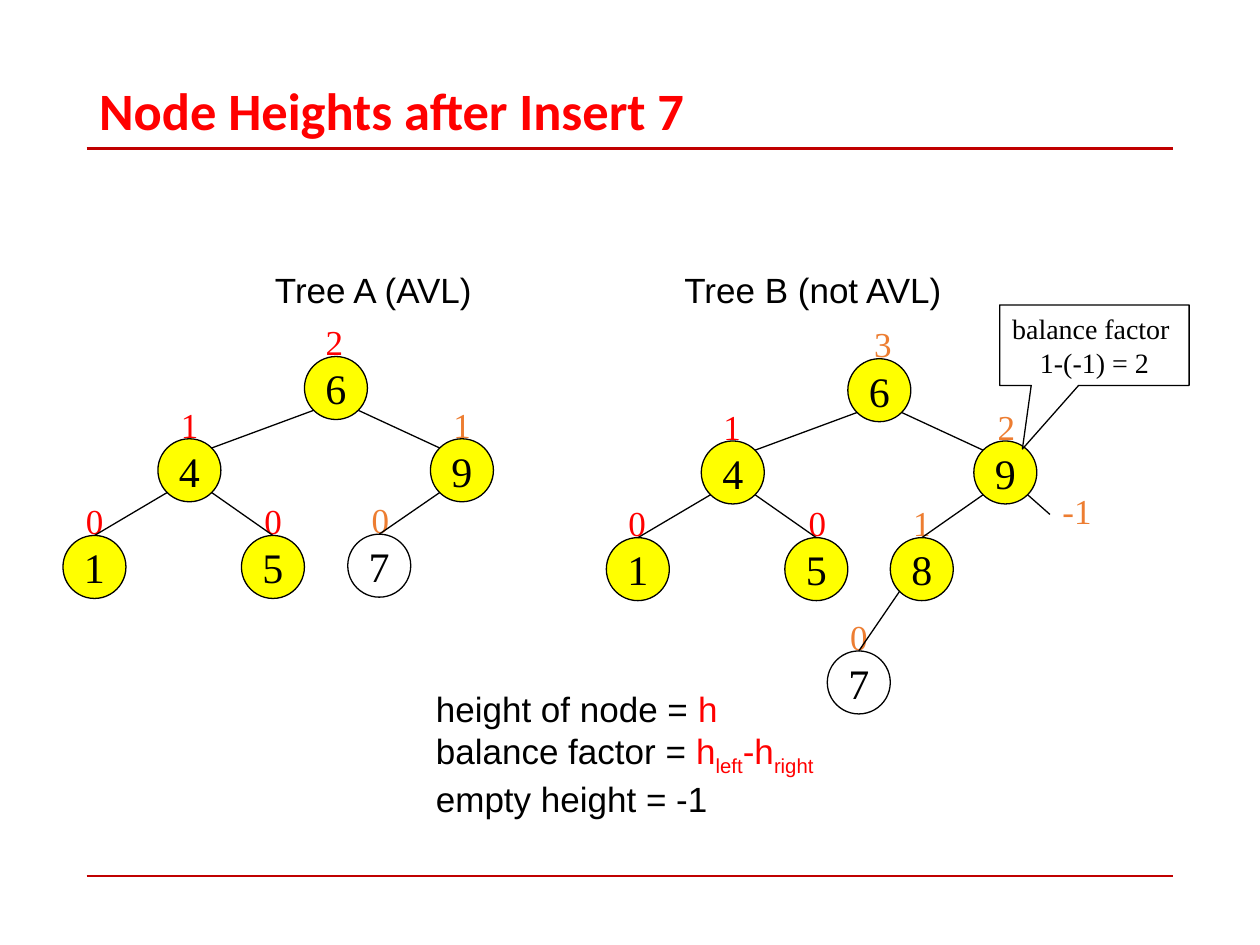
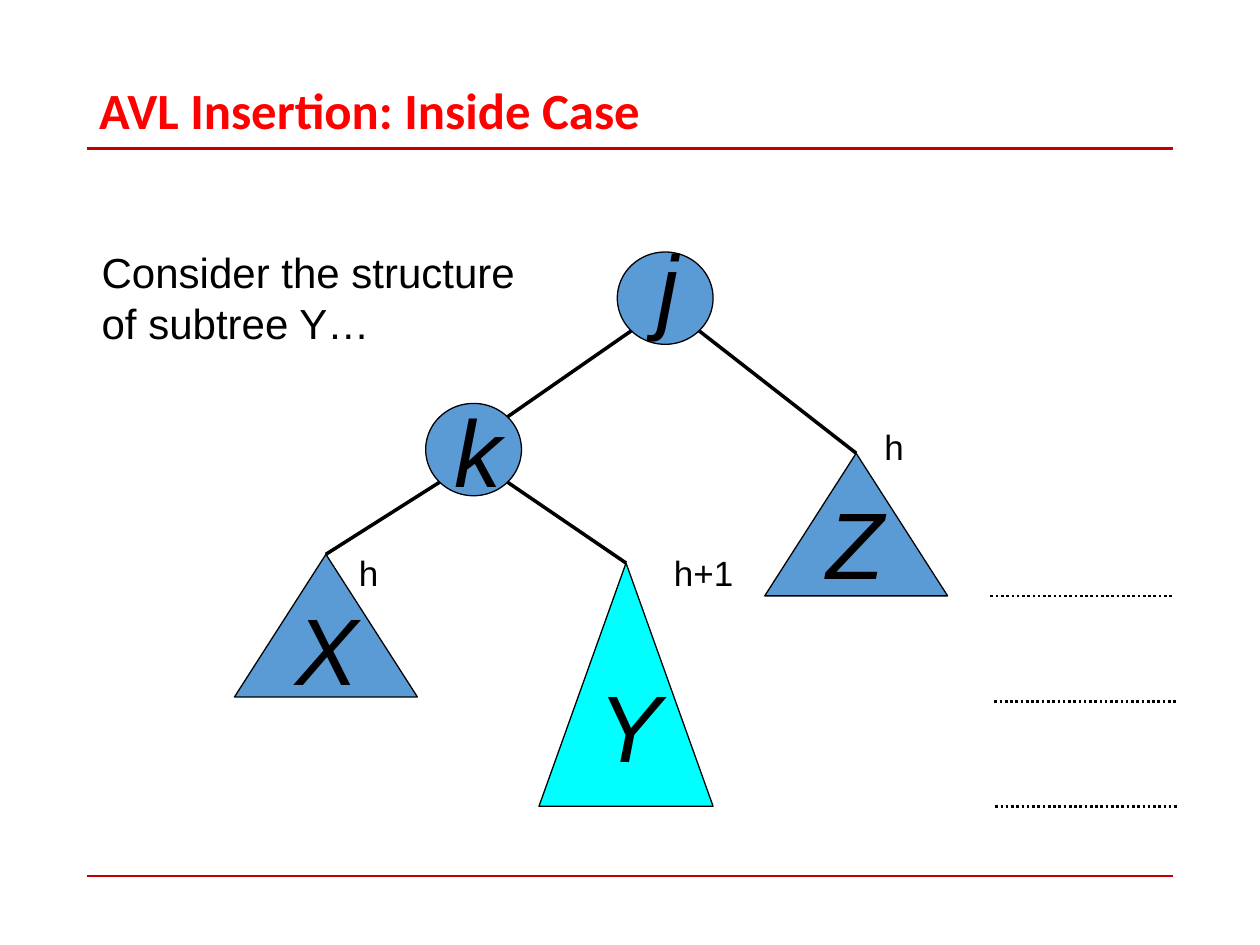
"""Build two slides on AVL trees: node heights and the inside case."""
from dataclasses import dataclass
from math import sqrt

from lxml import etree
from pptx import Presentation
from pptx.dml.color import RGBColor
from pptx.enum import dml, shapes, text
from pptx.oxml import ns
from pptx.util import Pt


@dataclass(frozen=True)
class Theme:
    """Colours, fonts and type sizes."""
    red: str = "FF0000"
    rule: str = "C00000"
    orange: str = "ED7D31"
    yellow: str = "FFFF00"
    blue: str = "5B9BD5"
    cyan: str = "00FFFF"
    white: str = "FFFFFF"
    black: str = "000000"
    head: str = "Calibri"
    sans: str = "Arial"
    serif: str = "Times New Roman"
    small: int = 16
    body: int = 20
    large: int = 24
    huge: int = 54
    thin: float = 0.75
    mid: float = 1.5
    thick: float = 2


T = Theme()
OVAL, PEAK = shapes.MSO_SHAPE.OVAL, shapes.MSO_SHAPE.ISOSCELES_TRIANGLE
LEFT, RIGHT = -1, 1
NODE = 36

# Node: value, left, top, fill, height, height colour, height offset.
TREE_A = [
    (6, 174, 203.75, T.yellow, 2, T.red, 5),
    (4, 90.25, 250.75, T.yellow, 1, T.red, 6),
    (9, 246, 250.75, T.yellow, 1, T.orange, 6),
    (1, 36, 306, T.yellow, 0, T.red, 6),
    (5, 138, 306, T.yellow, 0, T.red, 6),
    (7, 198.75, 305.25, None, 0, T.orange, 6.5),
]
TREE_B = [
    (6, 484.5, 205, T.yellow, 3, T.orange, 8),
    (4, 400.75, 252, T.yellow, 1, T.red, 5.5),
    (9, 556.5, 252, T.yellow, 2, T.orange, 6.5),
    (1, 346.5, 307.25, T.yellow, 0, T.red, 5.5),
    (5, 448.5, 307.25, T.yellow, 0, T.red, 6.5),
    (8, 508.75, 307.25, T.yellow, 1, T.orange, 6),
    (7, 472.75, 372, None, 0, T.orange, 6),
]
# Edge: parent, side, child, whether it meets the child's top.
SHARED = [(6, LEFT, 4, False), (6, RIGHT, 9, False), (4, LEFT, 1, True), (4, RIGHT, 5, True)]
TREES = [
    (TREE_A, SHARED + [(9, LEFT, 7, True)]),
    (TREE_B, SHARED + [(9, LEFT, 8, True), (8, LEFT, 7, True)]),
]
NAMES = [("Tree A (AVL)", 150, 132), ("Tree B (not AVL)", 384, 180)]
# Run: text, colour, baseline in thousandths of a percent.
RULES = [
    [("height of node = ", T.black, 0), ("h", T.red, 0)],
    [("balance factor = ", T.black, 0), ("h", T.red, 0), ("left", T.red, -25000),
     ("-h", T.red, 0), ("right", T.red, -25000)],
    [("empty height = -1", T.black, 0)],
]

# Part: letter, shape, box, fill, letter's left and top.
PARTS = [
    ("j", OVAL, (352.75, 144, 54.75, 52.75), T.blue, 368.5, 126.75),
    ("k", OVAL, (243.25, 230.5, 54.75, 52.75), T.blue, 252.75, 221),
    ("X", PEAK, (134, 316.75, 104.5, 81.5), T.blue, 162, 334),
    ("Y", PEAK, (308, 321.75, 99.5, 139), T.cyan, 334.75, 378),
    ("Z", PEAK, (437, 259, 104.5, 81.5), T.blue, 465, 273.5),
]
LINKS = [("j", LEFT, "k", False), ("j", RIGHT, "Z", True),
         ("k", LEFT, "X", True), ("k", RIGHT, "Y", True)]
SIZES = [("h", 498.25, 239.75, 26), ("h+1", 378, 311.75, 48.25), ("h", 198, 311.75, 25.25)]
LEVELS = [(566, 340.5), (568.25, 401), (568.75, 461)]
LEVEL_W = 104.5


def tint(font, color):
    """Set a solid font colour."""
    font.color.rgb = RGBColor.from_string(color)


def write(shape, lines, size, face, color=T.black, align=None, wrap=True, slant=None):
    """Fill a shape with one paragraph per line."""
    frame = shape.text_frame
    frame.word_wrap = wrap
    frame.text = "\n".join(lines)
    for para in frame.paragraphs:
        font = para.font
        font.size, font.name, font.italic = Pt(size), face, slant
        tint(font, color)
        para.alignment = align


def label(slide, box, lines, size, face, **more):
    """Add a text box."""
    shape = slide.shapes.add_textbox(*map(Pt, box))
    write(shape, lines, size, face, **more)
    return shape


def draw(slide, kind, box, fill):
    """Add a preset shape with a thin black outline."""
    shape = slide.shapes.add_shape(kind, *map(Pt, box))
    shape.shadow.inherit = False
    if fill:
        shape.fill.solid()
        shape.fill.fore_color.rgb = RGBColor.from_string(fill)
    else:
        shape.fill.background()
    shape.line.color.rgb = RGBColor.from_string(T.black)
    shape.line.width = Pt(T.thin)
    return shape


def line(slide, start, end, width, color=T.black):
    """Add a straight line without a shadow."""
    conn = slide.shapes.add_connector(shapes.MSO_CONNECTOR.STRAIGHT, *start, *end)
    conn.line.width = Pt(width)
    conn.line.color.rgb = RGBColor.from_string(color)
    etree.SubElement(conn._element.spPr, ns.qn("a:effectLst"))
    return conn


def corner(shape, across, down):
    """Find the diagonal point on an ellipse."""
    return (int(shape.left + shape.width / 2 * (1 + across / sqrt(2))),
            int(shape.top + shape.height / 2 * (1 + down / sqrt(2))))


def join(slide, nodes, edges, width):
    """Link parents to children."""
    for parent, side, child, top in edges:
        low = nodes[child]
        conn = line(slide, corner(nodes[parent], side, 1), corner(low, -side, -1), width)
        if top:
            conn.end_connect(low, 0)


def begin(deck, title, size):
    """Add a slide with its title and two rules."""
    slide = deck.slides.add_slide(deck.slide_layouts[5])
    for y in (85, 500.5):
        line(slide, (Pt(49.5), Pt(y)), (Pt(670.5), Pt(y)), T.mid, T.rule)
    head = slide.shapes.title
    head.left, head.top, head.width, head.height = map(Pt, (49.5, 43.75, 621, 41.75))
    write(head, [title], size, T.head, T.red, text.PP_ALIGN.LEFT)
    head.text_frame.vertical_anchor = text.MSO_ANCHOR.MIDDLE
    para = head.text_frame.paragraphs[0]
    para.font.bold, para.line_spacing = True, 0.9
    return slide


def tree(slide, items, edges):
    """Draw a tree with the height above each node."""
    for _, x, y, _, high, hue, shift in items:
        label(slide, (x + shift, y - 24, 24.5, 31.5), [str(high)], T.body, T.serif,
              color=hue, wrap=False)
    nodes = {}
    for val, x, y, fill, *_ in items:
        nodes[val] = draw(slide, OVAL, (x, y, NODE, NODE), fill)
        write(nodes[val], [str(val)], T.large, T.serif,
              align=text.PP_ALIGN.CENTER, wrap=False)
    join(slide, nodes, edges, T.thin)
    return nodes


def heights(deck):
    """Build the slide on node heights."""
    slide = begin(deck, "Node Heights after Insert 7", 30)
    for items, edges in TREES:
        nodes = tree(slide, items, edges)
    notes = label(slide, (242, 389.5, 230.5, 82.75), [""] * len(RULES),
                  T.body, T.sans, wrap=False)
    for para, runs in zip(notes.text_frame.paragraphs, RULES):
        for words, color, base in runs:
            run = para.add_run()
            run.text = words
            tint(run.font, color)
            if base:
                run._r.get_or_add_rPr().set("baseline", str(base))
    call = draw(slide, shapes.MSO_SHAPE.RECTANGULAR_CALLOUT,
                (571.25, 174.25, 108.25, 46), T.white)
    call.adjustments[0], call.adjustments[1] = -0.38, 1.29
    write(call, ["balance factor ", "1-(-1) = 2"], T.small, T.serif,
          align=text.PP_ALIGN.CENTER, wrap=False)
    line(slide, corner(nodes[9], RIGHT, 1), (Pt(600), Pt(294)), T.thin)
    label(slide, (600, 276, 31, 31.5), ["-1"], T.body, T.serif, color=T.orange, wrap=False)
    for name, x, width in NAMES:
        label(slide, (x, 150, width, 31.5), [name], T.body, T.sans)


def inside(deck):
    """Build the slide on the inside case."""
    slide = begin(deck, "AVL Insertion: Inside Case", 29)
    label(slide, (51, 137.5, 250.5, 65), ["Consider the structure", "of subtree Y…"],
          T.large, T.sans, wrap=False)
    nodes = {}
    for name, kind, box, fill, x, y in PARTS:
        nodes[name] = draw(slide, kind, box, fill)
        label(slide, (x, y, 33.5, 72), [name], T.huge, T.sans, slant=True)
    join(slide, nodes, LINKS, T.thick)
    for x, y in LEVELS:
        dots = line(slide, (Pt(x), Pt(y)), (Pt(x + LEVEL_W), Pt(y)), T.mid)
        dots.line.dash_style = dml.MSO_LINE.ROUND_DOT
    for name, x, y, width in SIZES:
        label(slide, (x, y, width, 31.5), [name], T.body, T.sans, wrap=False)


def main():
    """Build and save the deck."""
    deck = Presentation()
    deck.slide_width, deck.slide_height = Pt(720), Pt(540)
    heights(deck)
    inside(deck)
    deck.save("out.pptx")


if __name__ == "__main__":
    main()
